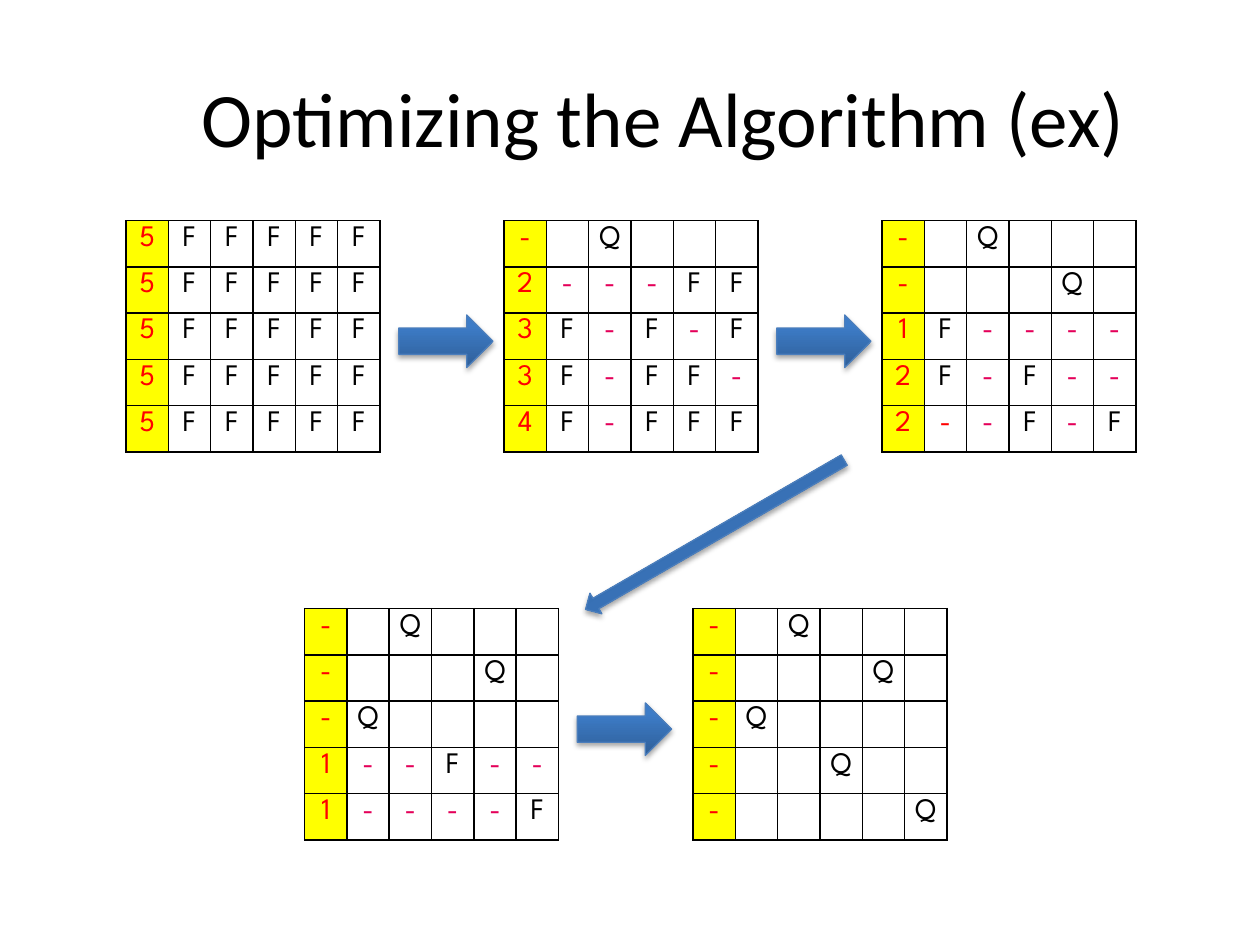
from copy import deepcopy
from dataclasses import dataclass

from lxml.etree import SubElement
from pptx import Presentation
from pptx.dml.color import RGBColor as Color
from pptx.enum.shapes import MSO_SHAPE as Shape
from pptx.enum.text import MSO_ANCHOR as Anchor, PP_ALIGN as Align
from pptx.oxml.ns import qn
from pptx.util import Cm, Pt


@dataclass(frozen=True)
class Theme:
    """Colours, fonts and type sizes of the slide."""
    ink: str = "000000"
    count: str = "FF0000"
    blocked: str = "E40059"
    count_fill: str = "FFFF00"
    arrow_line: str = "4B7EBC"
    arrow_stops: tuple = ((0, "2F5F99"), (0.8, "3D7CC7"), (1, "3A7CCB"))
    title_font: str = "Calibri"
    board_font: str = "League Spartan"
    title_size: int = 44
    board_size: int = 17


def apply(target, values):
    """Set each named attribute of the target."""
    for name, value in values.items():
        setattr(target, name, value)


class BoardSlide:
    """Draws titles, boards and arrows on one slide in one theme."""

    def __init__(self, slide, theme):
        """Keep the slide and its theme."""
        self.slide, self.theme = slide, theme

    def add_span(self, para, text, font, size, color):
        """Put one centred, styled span in a paragraph."""
        para.alignment = Align.CENTER
        span = para.add_run()
        span.text = text
        apply(span.font, {"name": font, "size": Pt(size)})
        span.font.color.rgb = Color.from_string(color)

    def title(self, text, left, top, width, height, indent):
        """Add the slide title, indented from the left."""
        box = self.slide.shapes.add_textbox(Cm(left), Cm(top), Cm(width), Cm(height))
        apply(box.text_frame, {"word_wrap": True, "vertical_anchor": Anchor.MIDDLE})
        para = box.text_frame.paragraphs[0]
        para._p.get_or_add_pPr().set("marL", str(Cm(indent)))
        self.add_span(para, text, self.theme.title_font, self.theme.title_size, self.theme.ink)

    def border(self, cell):
        """Rule all four sides of a cell."""
        for side in ("a:lnL", "a:lnR", "a:lnT", "a:lnB"):
            line = SubElement(cell._tc.get_or_add_tcPr(), qn(side), w=str(Pt(1)))
            fill = SubElement(line, qn("a:solidFill"))
            SubElement(fill, qn("a:srgbClr"), val=self.theme.ink)

    def cell(self, cell, mark, is_count):
        """Style one cell; a dot is empty and a tilde is a dash in the count colour."""
        theme = self.theme
        apply(cell, {"margin_left": Cm(0.18), "margin_right": Cm(0.18),
                     "margin_top": Cm(0.1), "margin_bottom": Cm(0.1)})
        self.border(cell)
        if is_count:
            cell.fill.solid()
            cell.fill.fore_color.rgb = Color.from_string(theme.count_fill)
        else:
            cell.fill.background()
        para = cell.text_frame.paragraphs[0]
        if mark == ".":
            SubElement(para._p, qn("a:endParaRPr"), sz=str(theme.board_size * 100))
            return
        color = {"-": theme.blocked, "~": theme.count}.get(mark, theme.ink)
        self.add_span(para, mark.replace("~", "-"), theme.board_font, theme.board_size,
                      theme.count if is_count else color)

    def board(self, rows, left, top, width, height):
        """Add a board with the counts of free squares in its first column."""
        table = self.slide.shapes.add_table(
            len(rows), len(rows[0]), Cm(left), Cm(top), Cm(width), Cm(height)).table
        apply(table, {"first_row": False, "horz_banding": False})
        for row_index, row in enumerate(rows):
            for column_index, mark in enumerate(row):
                self.cell(table.cell(row_index, column_index), mark, column_index == 0)

    def arrow(self, left, top, width, height, rotation=0):
        """Add a shaded block arrow with a soft shadow."""
        arrow = self.slide.shapes.add_shape(
            Shape.RIGHT_ARROW, Cm(left), Cm(top), Cm(width), Cm(height))
        arrow.rotation = rotation
        arrow.fill.gradient()
        arrow.fill.gradient_angle = 90
        properties = arrow._element.spPr
        stop_list = properties.find(".//" + qn("a:gsLst"))
        stop_list.append(deepcopy(stop_list[-1]))
        for stop, (position, color) in zip(arrow.fill.gradient_stops, self.theme.arrow_stops):
            stop.position = position
            stop.color.rgb = Color.from_string(color)
        arrow.line.color.rgb = Color.from_string(self.theme.arrow_line)
        arrow.line.width = Pt(0.75)
        arrow.shadow.inherit = False
        shadow = SubElement(properties.find(qn("a:effectLst")), qn("a:outerShdw"),
                            blurRad=str(Pt(3.1)), dist=str(Pt(1.8)),
                            dir="5400000", rotWithShape="0")
        tone = SubElement(shadow, qn("a:srgbClr"), val=self.theme.ink)
        SubElement(tone, qn("a:alpha"), val="35000")


BOARD_WIDTH, BOARD_HEIGHT = 5.12, 4.66
ARROW_WIDTH, ARROW_HEIGHT = 1.9, 1.06
ARROW_OFFSET = 5.5
BOARD_LINES = (
    (2.54, 4.45, 7.62, (
        ("5FFFFF",) * 5,
        ("-.Q...", "2---FF", "3F-F-F", "3F-FF-", "4F-FFF"),
        ("-.Q...", "-...Q.", "1F----", "2F-F--", "2~-F-F"))),
    (6.14, 12.27, 7.83, (
        ("-.Q...", "-...Q.", "-Q....", "1--F--", "1----F"),
        ("-.Q...", "-...Q.", "-Q....", "-..Q..", "-....Q"))),
)


def main():
    """Build and save the deck."""
    deck = Presentation()
    apply(deck, {"slide_width": Cm(25.4), "slide_height": Cm(19.05)})
    page = BoardSlide(deck.slides.add_slide(deck.slide_layouts[6]), Theme())
    page.title("Optimizing the Algorithm (ex)", 1.27, 0.76, 22.86, 3.18, 1.35)
    for left, top, pitch, boards in BOARD_LINES:
        arrow_top = top + (BOARD_HEIGHT - ARROW_HEIGHT) / 2 + 0.1
        for index, rows in enumerate(boards):
            board_left = left + index * pitch
            page.board(rows, board_left, top, BOARD_WIDTH, BOARD_HEIGHT)
            if index < len(boards) - 1:
                page.arrow(board_left + ARROW_OFFSET, arrow_top, ARROW_WIDTH, ARROW_HEIGHT)
    page.arrow(11.4, 10.54, 6.02, 0.48, rotation=150)
    deck.save("out.pptx")


if __name__ == "__main__":
    main()
